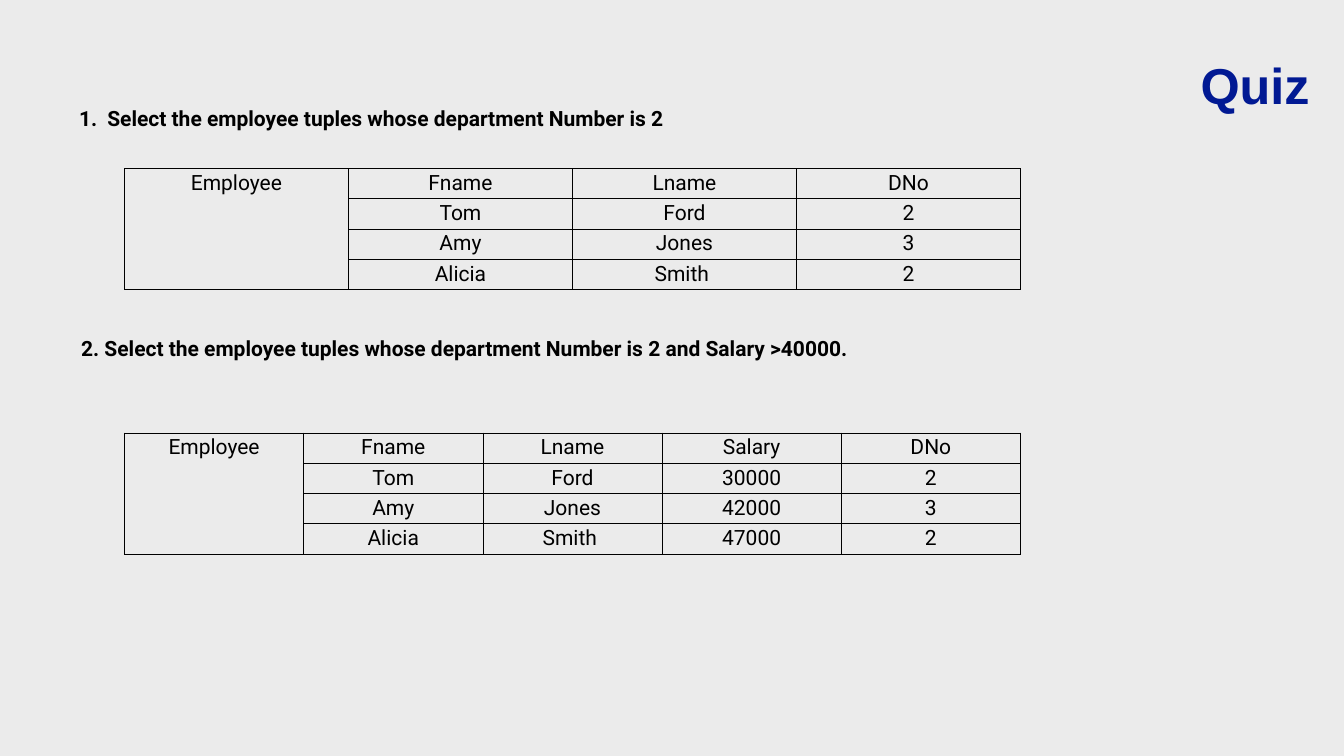
from lxml.etree import SubElement
from pptx import Presentation
from pptx.dml.color import RGBColor
from pptx.enum.text import MSO_ANCHOR, PP_ALIGN
from pptx.oxml.ns import qn
from pptx.util import Inches, Pt

BACKGROUND = RGBColor(0xEB, 0xEB, 0xEB)
NAVY = RGBColor(0x01, 0x19, 0x93)
BLACK = RGBColor(0, 0, 0)

TABLE_LEFT, TABLE_WIDTH, ROW_HEIGHT = 2.47, 17.78, 0.6
INSET = 0.06

DEPARTMENT_ROWS = [
    ["Employee", "Fname", "Lname", "DNo"],
    ["", "Tom", "Ford", "2"],
    ["", "Amy", "Jones", "3"],
    ["", "Alicia", "Smith ", "2"],
]
SALARIES = ["Salary", "30000", "42000", "47000"]
SALARY_ROWS = [
    [*row[:-1], salary, row[-1]] for row, salary in zip(DEPARTMENT_ROWS, SALARIES)
]


def style_paragraph(paragraph, size, name, color, bold, alignment):
    paragraph.alignment = alignment
    font = paragraph.font
    font.size, font.name, font.bold = Pt(size), name, bold
    font.color.rgb = color


def add_text(slide, text, left, top, width, height, anchor, size, name, color, alignment):
    frame = slide.shapes.add_textbox(
        Inches(left), Inches(top), Inches(width), Inches(height)
    ).text_frame
    frame.word_wrap = True
    frame.vertical_anchor = anchor
    frame.margin_left = frame.margin_right = Inches(INSET)
    frame.margin_top = frame.margin_bottom = Inches(INSET)
    paragraph = frame.paragraphs[0]
    paragraph.text = text
    style_paragraph(paragraph, size, name, color, True, alignment)
    return paragraph


def add_question(slide, text, left, top):
    return add_text(slide, text, left, top, 23.52, 0.61, MSO_ANCHOR.TOP,
                    30, "Roboto", BLACK, PP_ALIGN.LEFT)


def number_paragraph(paragraph, indent):
    properties = paragraph._p.get_or_add_pPr()
    properties.set("marL", str(Inches(indent)))
    properties.set("indent", str(-Inches(indent)))
    SubElement(properties, qn("a:buFont"), typeface="+mj-lt")
    SubElement(properties, qn("a:buAutoNum"), type="arabicPeriod")
    properties.append(properties.find(qn("a:defRPr")))


def add_borders(cell):
    properties = cell._tc.get_or_add_tcPr()
    for side in ("L", "R", "T", "B"):
        line = SubElement(properties, qn(f"a:ln{side}"), w=str(Pt(1)))
        fill = SubElement(line, qn("a:solidFill"))
        SubElement(fill, qn("a:srgbClr"), val=str(BLACK))


def add_employee_table(slide, rows, top):
    row_count, column_count = len(rows), len(rows[0])
    table = slide.shapes.add_table(
        row_count, column_count, Inches(TABLE_LEFT), Inches(top),
        Inches(TABLE_WIDTH), Inches(ROW_HEIGHT * row_count),
    ).table
    table.first_row = table.horz_banding = False
    for row_index, values in enumerate(rows):
        for column_index, value in enumerate(values):
            cell = table.cell(row_index, column_index)
            add_borders(cell)
            cell.fill.background()
            cell.margin_top = cell.margin_bottom = Inches(0.05)
            paragraph = cell.text_frame.paragraphs[0]
            paragraph.text = value
            style_paragraph(paragraph, 30, "Roboto", BLACK, False, PP_ALIGN.CENTER)
    table.cell(0, 0).merge(table.cell(row_count - 1, 0))


def main():
    presentation = Presentation()
    presentation.slide_width = Inches(26.67)
    presentation.slide_height = Inches(15)
    slide = presentation.slides.add_slide(presentation.slide_layouts[6])
    slide.background.fill.solid()
    slide.background.fill.fore_color.rgb = BACKGROUND

    add_text(slide, "Quiz", 1.55, 1.01, 24.5, 1.32, MSO_ANCHOR.MIDDLE,
             72, "Arial", NAVY, PP_ALIGN.RIGHT)
    first_question = add_question(
        slide, "Select the employee tuples whose department Number is 2", 1.51, 2.04)
    number_paragraph(first_question, 0.56)
    add_employee_table(slide, DEPARTMENT_ROWS, 3.34)
    add_question(
        slide,
        "2. Select the employee tuples whose department Number is 2 and Salary >40000.",
        1.55, 6.6)
    add_employee_table(slide, SALARY_ROWS, 8.59)
    presentation.save("out.pptx")


if __name__ == "__main__":
    main()
